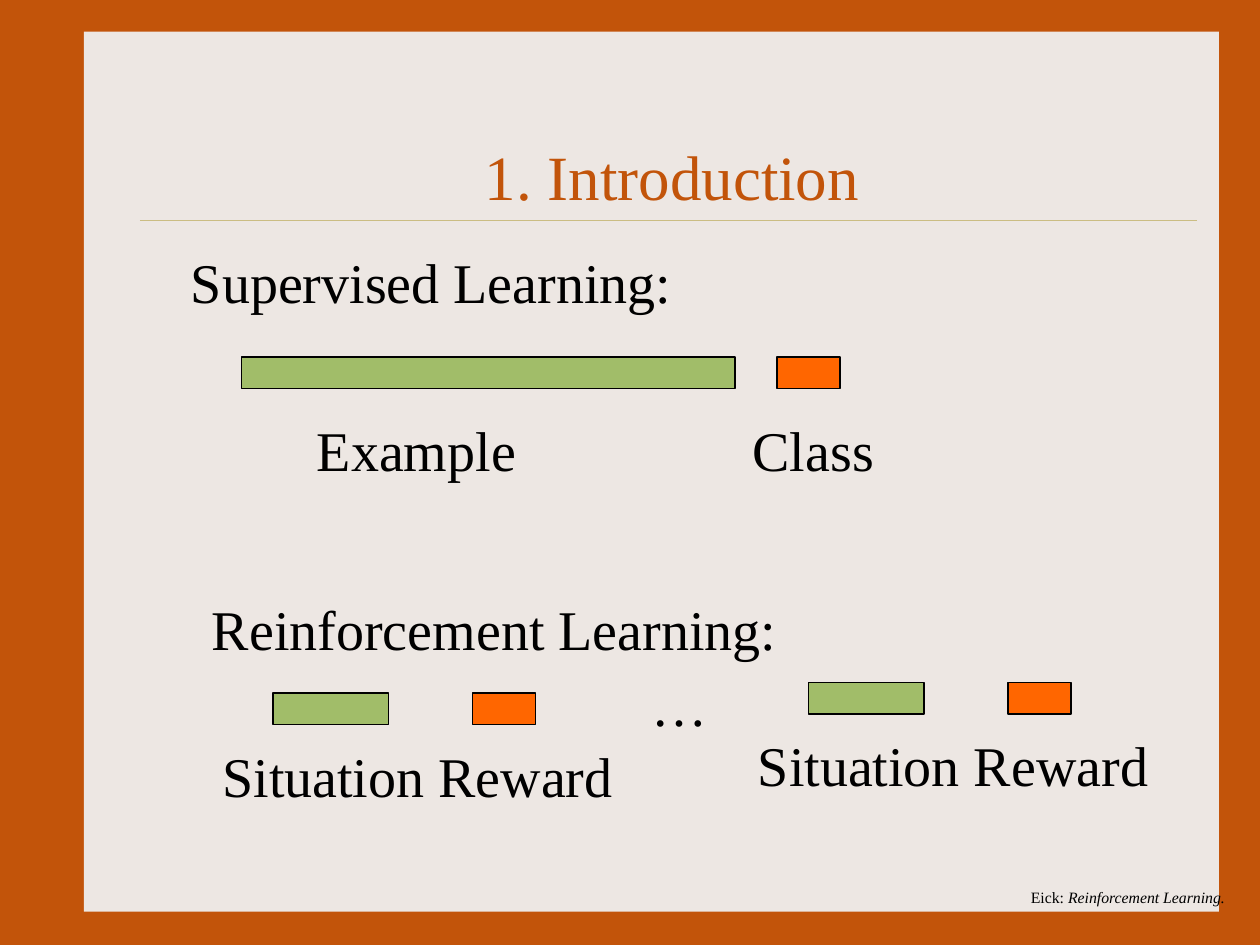
from lxml.etree import SubElement
from pptx import Presentation
from pptx.dml.color import RGBColor
from pptx.enum.shapes import MSO_CONNECTOR as Connector, MSO_SHAPE as Shape
from pptx.enum.text import MSO_ANCHOR as Anchor, PP_ALIGN as Align
from pptx.oxml.ns import qn
from pptx.util import Pt

FONT = "Times New Roman"
COLORS = {
    "frame": "C2540A",
    "panel": "EDE7E3",
    "rule": "CBBD83",
    "ink": "000000",
    "input": "A1BD69",
    "outcome": "FF6600",
}


def color(name):
    return RGBColor.from_string(COLORS[name])


def add_block(slide, box, fill, outline=None):
    block = slide.shapes.add_shape(Shape.RECTANGLE, *map(Pt, box))
    block.shadow.inherit = False
    block.fill.solid()
    block.fill.fore_color.rgb = color(fill)
    if outline:
        block.line.color.rgb = color(outline)
        block.line.width = Pt(0.75)
    else:
        block.line.fill.background()


def add_label(slide, box, text, size=32, ink="ink", align=Align.LEFT, anchor=Anchor.TOP):
    frame = slide.shapes.add_textbox(*map(Pt, box)).text_frame
    frame.word_wrap = True
    frame.vertical_anchor = anchor
    paragraph = frame.paragraphs[0]
    paragraph.text = text
    paragraph.alignment = align
    font = paragraph.runs[0].font
    font.name, font.size, font.color.rgb = FONT, Pt(size), color(ink)
    return paragraph


def add_backdrop(slide, box):
    left, top, width, height = box
    slide.background.fill.solid()
    slide.background.fill.fore_color.rgb = color("frame")
    add_block(slide, box, "panel")
    rule_y = top + 108
    rule = slide.shapes.add_connector(
        Connector.STRAIGHT, Pt(left + 32), Pt(rule_y), Pt(left + 636), Pt(rule_y))
    rule.line.color.rgb = color("rule")
    rule.line.width = Pt(0.25)
    SubElement(rule._element.spPr, qn("a:effectLst"))


def add_footer(slide, box):
    credit = add_label(slide, box, "Eick: ", size=9)
    topic = credit.add_run()
    topic.text = "Reinforcement Learning."
    topic.font.name, topic.font.size = FONT, Pt(9)
    topic.font.italic = True
    topic.font.color.rgb = color("ink")


def add_supervised(slide, box):
    left, top, width, height = box
    add_label(slide, (left, top, width, 45), "Supervised Learning:")
    add_block(slide, (left + 36, top + 66, 282, 18), "input", "ink")
    add_block(slide, (left + 342, top + 66, 36, 18), "outcome", "ink")
    add_label(slide, (left + 72, top + 96, 140, 45), "Example")
    add_label(slide, (left + 321, top + 96, 100, 45), "Class")


def add_step(slide, box):
    left, top, width, height = box
    add_block(slide, (left + 36, top, 66, 18), "input", "ink")
    add_block(slide, (left + 150, top, 36, 18), "outcome", "ink")
    add_label(slide, (left, top + 24, width, 45), "Situation Reward")


def add_reinforcement(slide, box):
    left, top, width, height = box
    add_label(slide, (left, top, 350, 45), "Reinforcement Learning:")
    add_step(slide, (left + 6, top + 60, 245, 69))
    add_step(slide, (left + 312, top + 54, 245, 69))
    add_label(slide, (left + 251, top + 43.5, 50, 45), "…")


def main():
    deck = Presentation()
    deck.slide_width, deck.slide_height = Pt(720), Pt(540)
    slide = deck.slides.add_slide(deck.slide_layouts[6])
    add_backdrop(slide, (48, 18, 648.6, 503))
    add_footer(slide, (582, 504, 130, 18))
    add_label(slide, (84, 80, 600, 40), "1. Introduction", size=36, ink="frame",
              align=Align.CENTER, anchor=Anchor.MIDDLE)
    add_supervised(slide, (102, 138, 430, 141))
    add_reinforcement(slide, (114, 336, 557, 129))
    deck.save("out.pptx")


if __name__ == "__main__":
    main()
